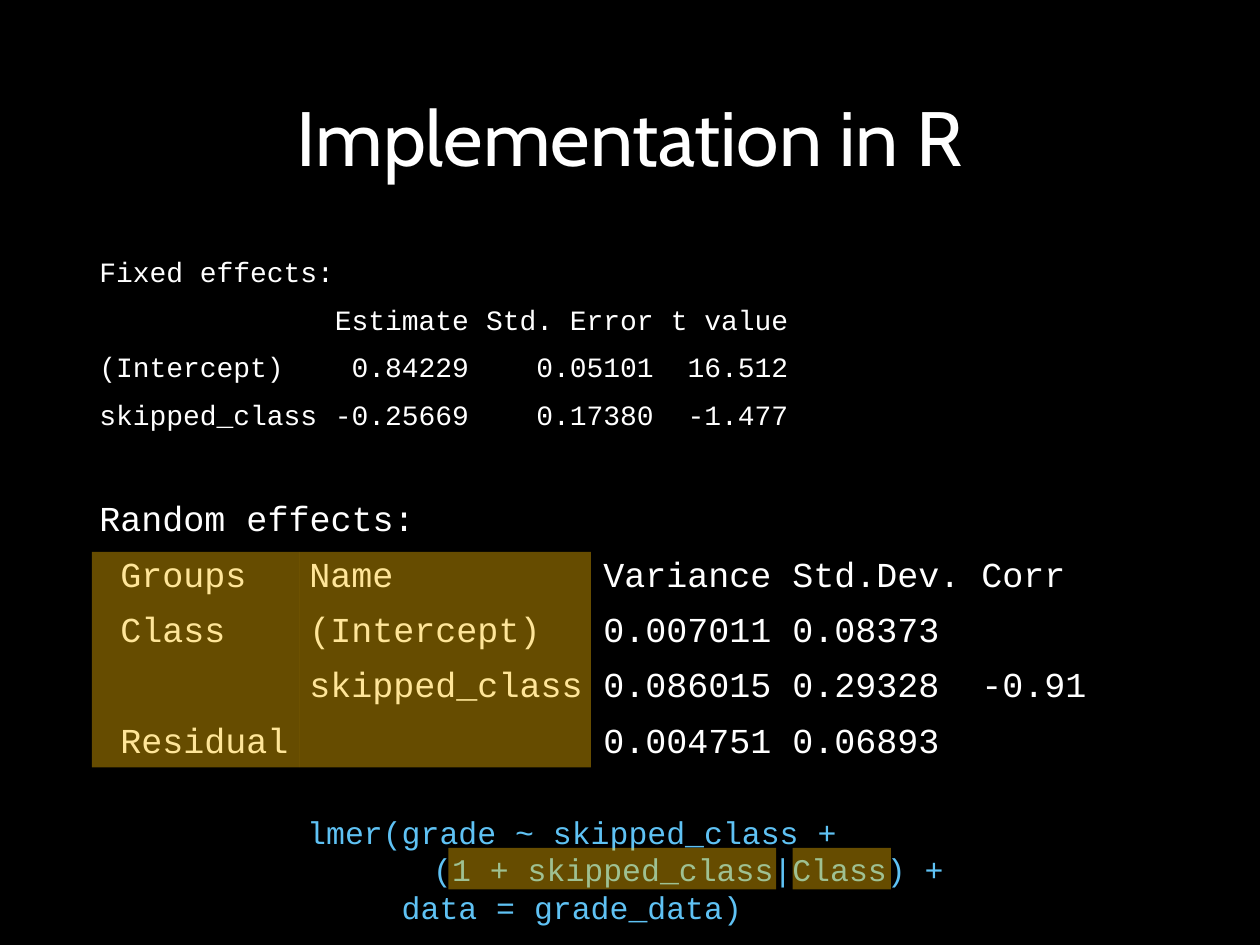
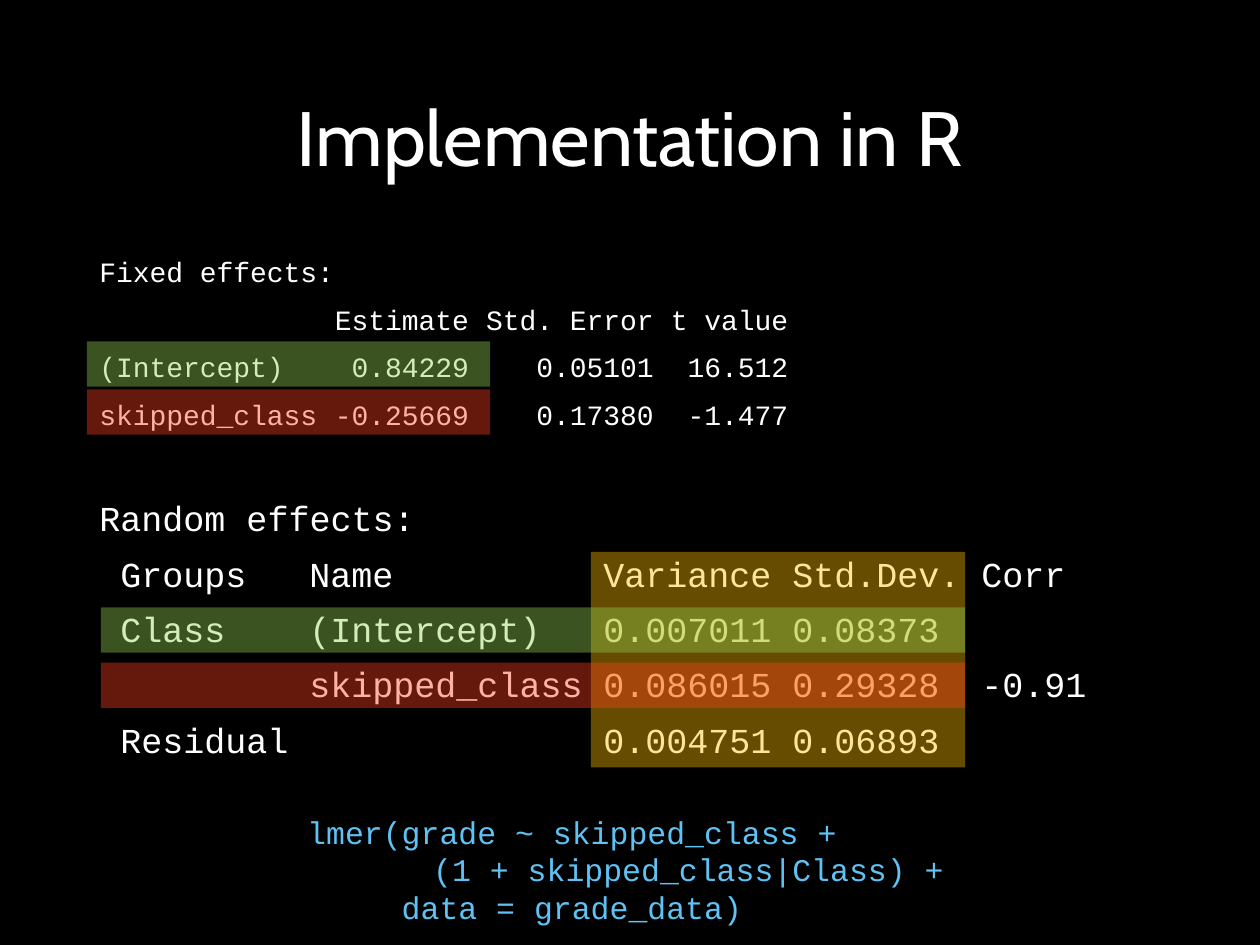
"""Build two slides that read the output of a mixed model in R."""
from lxml.etree import SubElement
from pptx import Presentation
from pptx.dml.color import RGBColor
from pptx.enum.shapes import MSO_SHAPE
from pptx.enum.text import MSO_ANCHOR, PP_ALIGN
from pptx.oxml.ns import qn
from pptx.util import Inches, Pt

BLACK = RGBColor(0x00, 0x00, 0x00)
WHITE = RGBColor(0xFF, 0xFF, 0xFF)
BLUE = RGBColor(0x5F, 0xC2, 0xF4)
GOLD = RGBColor(0xFF, 0xC0, 0x00)
GREEN = RGBColor(0x92, 0xD0, 0x50)
RED = RGBColor(0xFD, 0x3D, 0x20)

TITLE_FONT, CODE_FONT = "Cabin", "Courier New"
CHARACTER_SHARE = 0.6
OPACITY = 40

deck = Presentation()
deck.slide_width, deck.slide_height = Inches(10), Inches(7.5)
COLUMN, ROW = deck.slide_width / 100, deck.slide_height / 75
deck.slide_master.background.fill.solid()
deck.slide_master.background.fill.fore_color.rgb = BLACK

FIXED_STOPS = [("r", 22), ("r", 33), ("r", 41)]
RANDOM_STOPS = [("l", 1), ("l", 10), ("l", 24), ("l", 33), ("l", 42)]
FIXED_EFFECTS = [
    "Fixed effects:",
    "\tEstimate\tStd. Error\tt value",
    "(Intercept)\t0.84229\t0.05101\t16.512",
    "skipped_class\t-0.25669\t0.17380\t-1.477",
]
RANDOM_EFFECTS = [
    "Random effects:",
    "\tGroups\tName\tVariance\tStd.Dev.\tCorr",
    "\tClass\t(Intercept)\t0.007011\t0.08373",
    "\t\tskipped_class\t0.086015\t0.29328\t-0.91",
    "\tResidual\t\t0.004751\t0.06893",
]
OUTPUT = [(FIXED_EFFECTS, 16, FIXED_STOPS, 10), (RANDOM_EFFECTS, 20, RANDOM_STOPS, 40)]
MODEL_CALL = [
    ("lmer(grade ~ skipped_class +", 0),
    ("(1 + skipped_class|Class) +", 10),
    ("data = grade_data)", 7.5),
]

TABLE_TOP, TABLE_HEIGHT = 43.8, 17.1
NAME_LEFT, VARIANCE_LEFT, CORRELATION_LEFT = 23.8, 46.9, 76.6
TERM_TOP, TERM_HEIGHT = 67.3, 3.3
BAND_HEIGHT = 3.6

grouping_marks = [
    (GOLD, 7.3, TABLE_TOP, NAME_LEFT, TABLE_HEIGHT),
    (GOLD, NAME_LEFT, TABLE_TOP, VARIANCE_LEFT, TABLE_HEIGHT),
    (GOLD, 62.9, TERM_TOP, 70.7, TERM_HEIGHT),
    (GOLD, 35.6, TERM_TOP, 61.6, TERM_HEIGHT),
]
variance_marks = [(GOLD, VARIANCE_LEFT, TABLE_TOP, CORRELATION_LEFT, TABLE_HEIGHT)]
for colour, fixed_top, random_top in [(GREEN, 27.1, 48.2), (RED, 30.9, 52.6)]:
    variance_marks.append((colour, 6.9, fixed_top, 38.9, BAND_HEIGHT))
    variance_marks.append((colour, 8, random_top, CORRELATION_LEFT, BAND_HEIGHT))


def add_text_box(page, left, top, width, height):
    """Return the wrapping text frame of a box placed on the grid."""
    box = page.shapes.add_textbox(
        round(left * COLUMN), round(top * ROW), round(width * COLUMN), round(height * ROW))
    box.text_frame.word_wrap = True
    return box.text_frame


def add_line(frame, text, size, font, colour):
    """Write one line in a frame and return its paragraph."""
    para = frame.paragraphs[0]
    if para.runs:
        para = frame.add_paragraph()
    for position, piece in enumerate(text.split("\t")):
        span = para.add_run()
        span.text = "\t" + piece if position else piece
        span.font.size, span.font.name = Pt(size), font
        span.font.color.rgb = colour
    return para


for marks in (grouping_marks, variance_marks):
    page = deck.slides.add_slide(deck.slide_layouts[6])

    title = add_text_box(page, 6.9, 4, 86.2, 14.5)
    title.vertical_anchor = MSO_ANCHOR.MIDDLE
    para = add_line(title, "Implementation in R", 44, TITLE_FONT, WHITE)
    para.alignment, para.line_spacing = PP_ALIGN.CENTER, 0.9

    output = add_text_box(page, 6.9, 20, 86.2, 47.6)
    for lines, size, stops, gap_above in OUTPUT:
        for number, text in enumerate(lines):
            para = add_line(output, text, size, CODE_FONT, WHITE)
            para.line_spacing = 0.9
            para.space_before = Pt(10 if number else gap_above)
            tab_list = SubElement(para._p.get_or_add_pPr(), qn("a:tabLst"))
            for side, characters in stops:
                place = Pt(characters * size * CHARACTER_SHARE)
                SubElement(tab_list, qn("a:tab"), pos=str(place), algn=side)

    model = add_text_box(page, 23.4, 64, 53.3, 10.1)
    for text, indent in MODEL_CALL:
        para = add_line(model, text, 18, CODE_FONT, BLUE)
        para._p.get_or_add_pPr().set("marL", str(round(indent * COLUMN)))

    for colour, left, top, right, height in marks:
        mark = page.shapes.add_shape(
            MSO_SHAPE.RECTANGLE, round(left * COLUMN), round(top * ROW),
            round((right - left) * COLUMN), round(height * ROW))
        mark.shadow.inherit = False
        mark.line.fill.background()
        mark.fill.solid()
        mark.fill.fore_color.rgb = colour
        tint = mark._element.spPr.find(qn("a:solidFill")).find(qn("a:srgbClr"))
        SubElement(tint, qn("a:alpha"), val=str(OPACITY * 1000))

deck.save("out.pptx")
